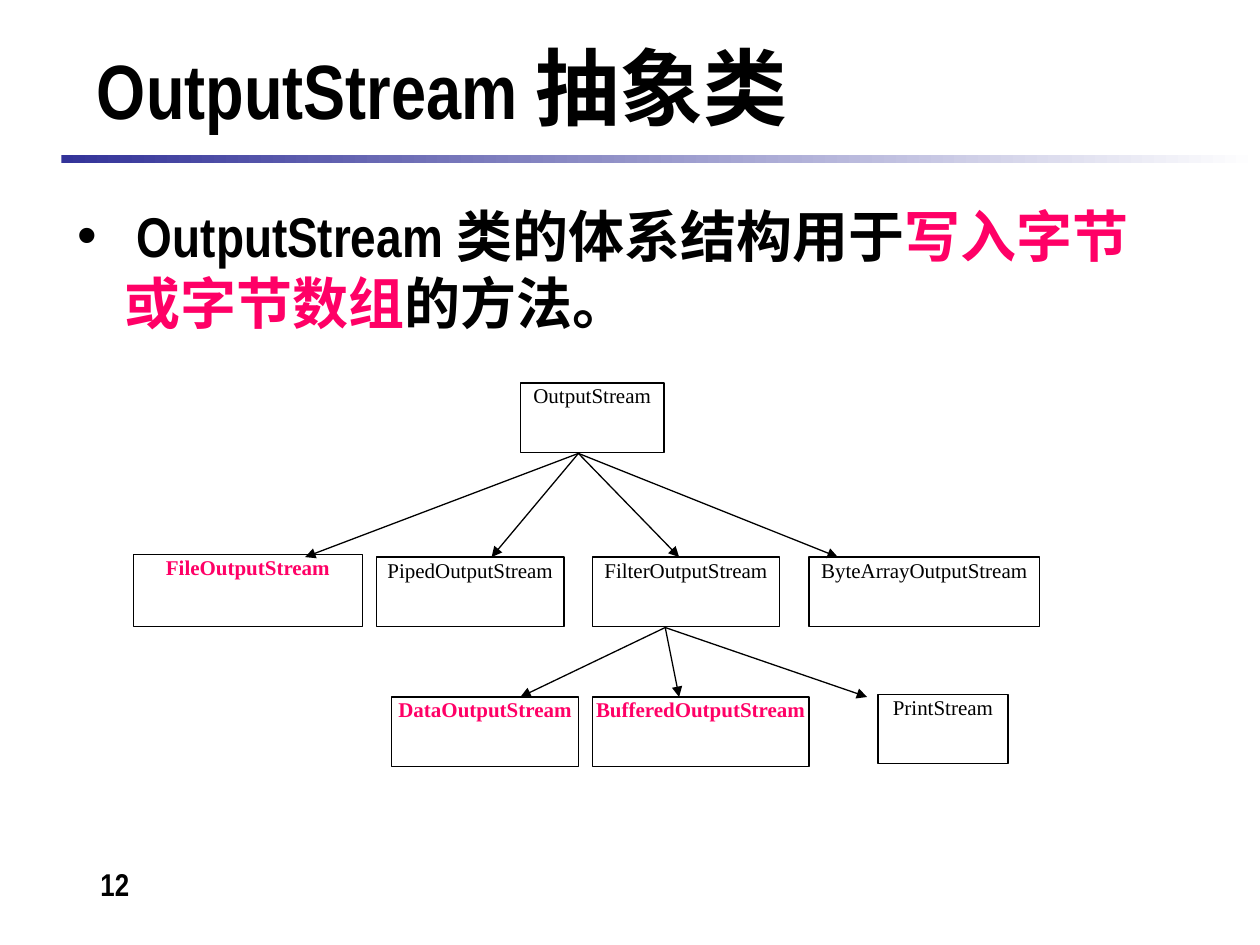
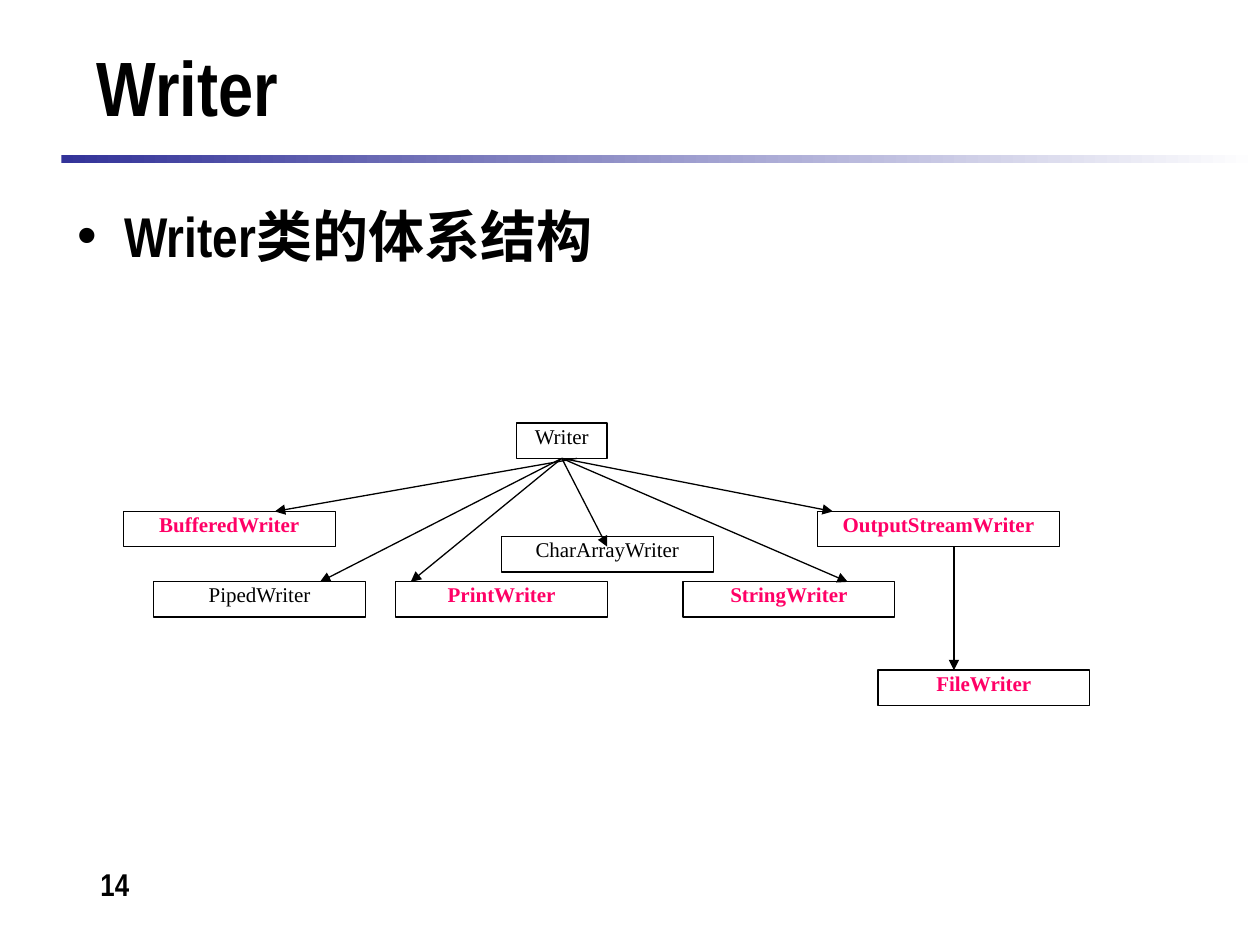
from dataclasses import dataclass

from lxml import etree
from pptx import Presentation
from pptx.dml.color import RGBColor
from pptx.enum import shapes, text
from pptx.oxml.ns import qn
from pptx.util import Cm, Pt


@dataclass(frozen=True)
class Theme:
    ink: RGBColor = RGBColor(0, 0, 0)
    paper: RGBColor = RGBColor(255, 255, 255)
    hot: RGBColor = RGBColor(0xFF, 0, 0x66)
    band: RGBColor = RGBColor(0x33, 0x33, 0x99)
    head: str = "Arial Narrow"
    node: str = "Times New Roman"
    title: int = 44
    wide: int = 48
    body: int = 32
    page: int = 18
    label: int = 12
    line: float = 0.75


T = Theme()


def style(font, name, size, bold, color):
    font.name, font.size, font.bold = name, Pt(size), bold
    font.color.rgb = color


def arrow(slide, start, end):
    line = slide.shapes.add_connector(
        shapes.MSO_CONNECTOR.STRAIGHT, *map(Cm, start + end))
    line.line.color.rgb = T.ink
    line.line.width = Pt(T.line)
    etree.SubElement(line.line._get_or_add_ln(), qn("a:tailEnd"), type="triangle")
    etree.SubElement(line._element.spPr, qn("a:effectLst"))
    return line


# Rows hold top, height and boxes (name, left, width, highlighted).
# Fans hold a start point, the end points and the box joined at its bottom.
decks = [
    dict(
        page="12",
        title=[("OutputStream ", T.title), ("抽象类", T.wide)],
        body=[(" OutputStream 类的体系结构用于", T.ink),
              ("写入字节或字节数组", T.hot), ("的方法。", T.ink)],
        rows=[
            (7.72, 1.4, [("OutputStream", 10.49, 2.9, False)]),
            (11.18, 1.45, [("FileOutputStream", 2.69, 4.62, True)]),
            (11.23, 1.4, [("PipedOutputStream", 7.59, 3.78, False),
                          ("FilterOutputStream", 11.94, 3.78, False),
                          ("ByteArrayOutputStream", 16.31, 4.65, False)]),
            (14.05, 1.4, [("DataOutputStream", 7.9, 3.76, True),
                          ("BufferedOutputStream", 11.94, 4.37, True)]),
            (14, 1.4, [("PrintStream", 17.7, 2.62, False)]),
        ],
        fans=[
            ((11.66, 9.14), [(x, 11.23) for x in (6.15, 9.91, 13.69, 16.89)], None),
            ((13.41, 12.65), [(x, 14.05) for x in (10.49, 13.69, 17.48)], None),
        ],
    ),
    dict(
        page="14",
        title=[("Writer", T.title)],
        body=[("Writer类的体系结构", T.ink)],
        rows=[
            (8.53, 0.71, [("Writer", 10.41, 1.83, False)]),
            (10.31, 0.71, [("BufferedWriter", 2.49, 4.27, True),
                           ("OutputStreamWriter", 16.48, 4.88, True)]),
            (10.82, 0.71, [("CharArrayWriter", 10.11, 4.27, False)]),
            (11.73, 0.71, [("PipedWriter", 3.1, 4.27, False),
                           ("PrintWriter", 7.98, 4.27, True),
                           ("StringWriter", 13.77, 4.27, True)]),
            (13.51, 0.71, [("FileWriter", 17.7, 4.27, True)]),
        ],
        fans=[
            ((11.63, 9.24), [(5.54, 10.31)], None),
            ((11.33, 9.24), [(6.45, 11.73), (12.24, 11.02), (8.28, 11.73),
                             (16.79, 10.31), (17.09, 11.73)], "Writer"),
            ((19.23, 11.02), [(19.23, 13.51)], None),
        ],
    ),
]

prs = Presentation()
prs.slide_width, prs.slide_height = Cm(25.4), Cm(19.05)
layout = prs.slide_layouts[1]
places = [(1.7, 0.53, 21.79, 2.39), (1.3, 3.94, 22.4, 13.21)]
for hold, place in zip(layout.placeholders, places):
    hold.left, hold.top, hold.width, hold.height = map(Cm, place)

for deck in decks:
    slide = prs.slides.add_slide(layout)

    # The band is made on the first slide, then moved to the shared layout.
    if deck is decks[0]:
        band = slide.shapes.add_shape(
            shapes.MSO_SHAPE.RECTANGLE, Cm(1.24), Cm(3.12), Cm(24.16), Cm(0.16))
        band.shadow.inherit = False
        band.line.fill.background()
        band.fill.gradient()
        band.fill.gradient_angle = 0
        for stop, color, spot in zip(band.fill.gradient_stops, (T.band, T.paper), (0, 1)):
            stop.color.rgb, stop.position = color, spot
        layout.shapes._spTree.append(band._element)

    frame = slide.shapes.title.text_frame
    frame.auto_size = text.MSO_AUTO_SIZE.NONE
    frame.vertical_anchor = text.MSO_ANCHOR.MIDDLE
    para = frame.paragraphs[0]
    para.alignment = text.PP_ALIGN.LEFT
    style(para.font, T.head, T.title, True, T.ink)
    for words, size in deck["title"]:
        run = para.add_run()
        run.text, run.font.size = words, Pt(size)

    frame = slide.placeholders[1].text_frame
    frame.auto_size = text.MSO_AUTO_SIZE.NONE
    para = frame.paragraphs[0]
    props = para._p.get_or_add_pPr()
    props.set("marL", str(Cm(0.95)))
    props.set("indent", str(-Cm(0.95)))
    para.space_before = Pt(0)
    tint = etree.SubElement(props, qn("a:buClr"))
    etree.SubElement(tint, qn("a:srgbClr"), val=str(T.ink))
    etree.SubElement(props, qn("a:buChar"), char="•")
    style(para.font, T.head, T.body, True, T.ink)
    for words, color in deck["body"]:
        run = para.add_run()
        run.text, run.font.color.rgb = words, color

    boxes = {}
    for top, high, row in deck["rows"]:
        for name, left, wide, hot in row:
            box = slide.shapes.add_shape(
                shapes.MSO_SHAPE.RECTANGLE, Cm(left), Cm(top), Cm(wide), Cm(high))
            box.shadow.inherit = False
            box.fill.solid()
            box.fill.fore_color.rgb = T.paper
            box.line.color.rgb = T.ink
            box.line.width = Pt(T.line)
            frame = box.text_frame
            frame.margin_left = frame.margin_right = 0
            frame.margin_top = frame.margin_bottom = 0
            frame.vertical_anchor = text.MSO_ANCHOR.TOP
            frame.text = name
            para = frame.paragraphs[0]
            para.alignment = text.PP_ALIGN.CENTER
            style(para.font, T.node, T.label, hot, T.hot if hot else T.ink)
            boxes[name] = box

    for start, ends, root in deck["fans"]:
        for end in ends:
            line = arrow(slide, start, end)
            if root:
                line.begin_connect(boxes[root], 2)

    page = slide.shapes.add_textbox(Cm(0.51), Cm(17.32), Cm(3.61), Cm(1.32))
    page.text_frame.word_wrap = True
    page.text_frame.text = deck["page"]
    para = page.text_frame.paragraphs[0]
    para.alignment = text.PP_ALIGN.CENTER
    style(para.font, T.head, T.page, True, T.ink)

prs.save("out.pptx")
